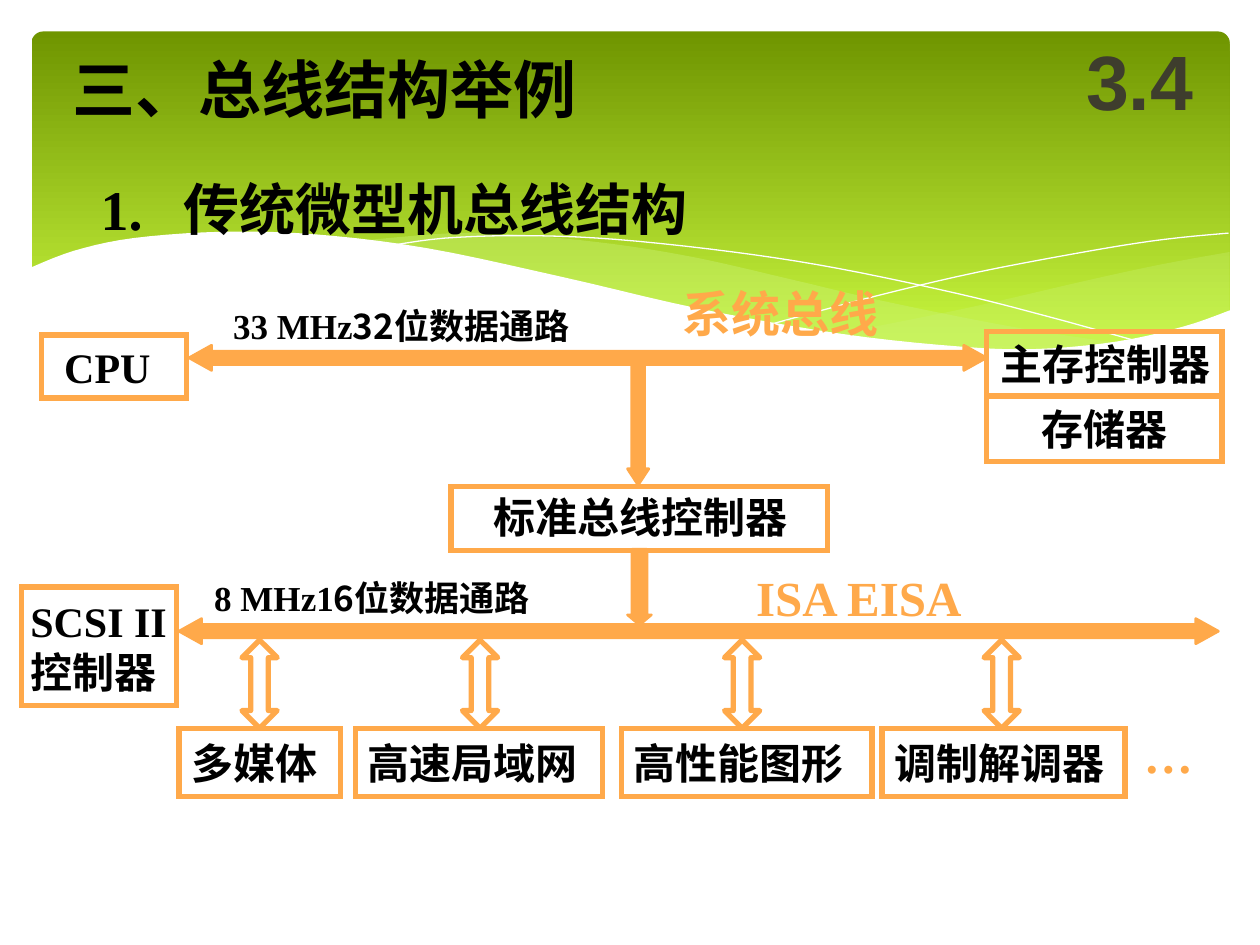
from lxml import etree
from pptx import Presentation
from pptx import util as u
from pptx.dml.color import RGBColor
from pptx.enum import shapes, text
from pptx.oxml.ns import qn

Inches, Pt = u.Inches, u.Pt
Shape = shapes.MSO_SHAPE

ORANGE = RGBColor(0xFF, 0xA9, 0x4A)
BLACK = RGBColor(0, 0, 0)
WHITE = RGBColor(0xFF, 0xFF, 0xFF)
GREY = RGBColor(0x3E, 0x3D, 0x2D)
DARK_GREEN = RGBColor(0x6F, 0x95, 0x00)
LIME = RGBColor(0xD0, 0xFF, 0x44)
PALE_LIME = RGBColor(0xCA, 0xF2, 0x78)
TIMES, NOTO, ARIAL = "Times New Roman", "Noto Sans CJK SC", "Arial"

# Header curves, as points to pass a smooth line through
WHITE_WAVE = [(0.23, 2.13), (0.59, 1.99), (1.06, 1.89), (1.76, 1.84), (2.5, 1.86),
              (3.39, 1.97), (4.47, 2.2), (5.55, 2.45), (6.68, 2.65), (7.61, 2.75),
              (8.23, 2.77), (8.87, 2.71), (9.4, 2.59), (9.77, 2.46)]
RIGHT_TOP = [(9.76, 2), (9.21, 2.1), (8.61, 2.23), (7.79, 2.42), (7.06, 2.57), (6.61, 2.65)]
RIGHT_BOTTOM = [(6.61, 2.65), (7.18, 2.73), (7.81, 2.77), (8.35, 2.77), (8.89, 2.72),
                (9.35, 2.62), (9.76, 2.47)]
MIDDLE_TOP = [(8.93, 2.73), (8.07, 2.6), (7.06, 2.4), (6.29, 2.22), (5.55, 2.05),
              (4.89, 1.94), (4.2, 1.87), (3.61, 1.85), (2.86, 1.91)]
MIDDLE_BOTTOM = [(2.86, 1.91), (3.62, 2.03), (4.49, 2.22), (5.3, 2.4), (6.18, 2.58),
                 (6.95, 2.7), (7.61, 2.77), (8.28, 2.78), (8.93, 2.73)]
FALLING_LINE = [(3.09, 1.95), (3.53, 1.89), (4.16, 1.87), (4.89, 1.9), (5.82, 2),
                (6.65, 2.13), (7.6, 2.33), (8.31, 2.51), (9.07, 2.72)]
RISING_LINE = [(6.13, 2.57), (6.95, 2.35), (7.76, 2.16), (8.66, 1.99), (9.24, 1.9), (9.75, 1.85)]


def smooth(points, steps=5):
    """Return a Catmull-Rom curve through the points."""
    ends = [points[0], *points, points[-1]]
    curve = [points[0]]
    for a, b, c, d in zip(ends, ends[1:], ends[2:], ends[3:]):
        for step in range(1, steps + 1):
            t = step / steps
            curve.append(tuple(
                (2 * q + (r - p) * t + (2 * p - 5 * q + 4 * r - s) * t ** 2
                 + (3 * q - p - 3 * r + s) * t ** 3) / 2
                for p, q, r, s in zip(a, b, c, d)))
    return curve


def write(frame, content, *, size=24, font=TIMES, color=BLACK, inset=(0.1, 0.05),
          align=text.PP_ALIGN.LEFT, hanging=None):
    """Fill a frame; content is a list of paragraphs, each a string or (text, font) runs."""
    frame.word_wrap = True
    frame.vertical_anchor = text.MSO_ANCHOR.MIDDLE
    frame.margin_left = frame.margin_right = Inches(inset[0])
    frame.margin_top = frame.margin_bottom = Inches(inset[1])
    for index, runs in enumerate(content):
        paragraph = frame.add_paragraph() if index else frame.paragraphs[0]
        paragraph.alignment = align
        if hanging:
            properties = paragraph._p.get_or_add_pPr()
            properties.set("marL", str(Inches(hanging)))
            properties.set("indent", str(-Inches(hanging)))
        for words, run_font in ([(runs, font)] if isinstance(runs, str) else runs):
            run = paragraph.add_run()
            run.text = words
            run.font.size, run.font.bold, run.font.name = Pt(size), True, run_font
            run.font.color.rgb = color
            etree.SubElement(run._r.get_or_add_rPr(), qn("a:ea"), typeface=NOTO)


class Diagram:
    def __init__(self, slide):
        self.slide = slide
        self.accent = ORANGE

    def style(self, shape, fill=None, line=None, width=0, alpha=None):
        shape.shadow.inherit = False
        if fill is None:
            shape.fill.background()
        else:
            shape.fill.solid()
            shape.fill.fore_color.rgb = fill
        if alpha:
            color = shape.fill._xPr.find(qn("a:solidFill"))[0]
            etree.SubElement(color, qn("a:alpha"), val=str(alpha * 1000))
        if line is None:
            shape.line.fill.background()
        else:
            shape.line.color.rgb = line
            shape.line.width = Pt(width)

    def preset(self, kind, place):
        return self.slide.shapes.add_shape(kind, *map(Inches, place))

    def banner(self, *place):
        shape = self.preset(Shape.ROUNDED_RECTANGLE, place)
        shape.adjustments[0] = 0.034
        self.style(shape)
        shape.fill.gradient()
        shape.fill.gradient_angle = 270
        for stop, color, position in zip(shape.fill.gradient_stops, (DARK_GREEN, LIME), (0, 1)):
            stop.color.rgb, stop.position = color, position

    def outline(self, points, close=True, **style):
        start, *rest = [tuple(map(Inches, point)) for point in points]
        builder = self.slide.shapes.build_freeform(*start)
        builder.add_line_segments(rest, close=close)
        self.style(builder.convert_to_shape(), **style)

    def label(self, place, *content, spare=0.3, **style):
        left, top, width, height = place
        box = self.slide.shapes.add_textbox(*map(Inches, (left, top, width + spare, height)))
        write(box.text_frame, content, **style)

    def box(self, place, *content, **style):
        shape = self.preset(Shape.RECTANGLE, place)
        self.style(shape, line=self.accent, width=3)
        etree.SubElement(shape.line._get_or_add_ln(), qn("a:miter"), lim="800000")
        if content:
            write(shape.text_frame, content, **style)

    def arrow(self, kind, place, shaft, head, solid=True):
        shape = self.preset(kind, place)
        shape.adjustments[0], shape.adjustments[1] = shaft, head
        self.style(shape, fill=self.accent if solid else None, line=self.accent,
                   width=1.5 if solid else 3)
        etree.SubElement(shape.line._get_or_add_ln(), qn("a:round"))


def main():
    presentation = Presentation()
    presentation.slide_width, presentation.slide_height = Inches(10), Inches(7.5)
    diagram = Diagram(presentation.slides.add_slide(presentation.slide_layouts[6]))

    # Green header with waves
    diagram.banner(0.25, 0.25, 9.51, 2.7)
    diagram.outline(smooth(RIGHT_TOP) + smooth(RIGHT_BOTTOM), fill=PALE_LIME, alpha=29)
    diagram.outline(smooth(MIDDLE_TOP) + smooth(MIDDLE_BOTTOM), fill=PALE_LIME, alpha=40)
    for curve in (FALLING_LINE, RISING_LINE):
        diagram.outline(smooth(curve), close=False, line=WHITE)
    diagram.outline(smooth(WHITE_WAVE) + [(9.77, 3.29), (0.23, 3.29)], fill=WHITE)

    # Headings
    diagram.label((0.7, 1.33, 4.87, 0.64), "1.\t传统微型机总线结构", size=32, hanging=0.66)
    diagram.label((0.48, 0.35, 4.2, 0.7), "三、总线结构举例", size=36)
    diagram.label((8.42, 0.17, 1.25, 0.92), "3.4", size=44, font=ARIAL, color=GREY,
                  align=text.PP_ALIGN.CENTER, spare=0)

    # Buses and the links between them
    diagram.arrow(Shape.DOWN_ARROW, (4.98, 4.36, 0.19, 0.6), 0.63, 0.42)
    diagram.arrow(Shape.DOWN_ARROW, (4.98, 2.85, 0.17, 1), 0.6, 0.76)
    diagram.arrow(Shape.LEFT_RIGHT_ARROW, (1.5, 2.74, 6.33, 0.2), 0.53, 0.9)
    diagram.arrow(Shape.LEFT_RIGHT_ARROW, (1.42, 4.91, 8.25, 0.2), 0.53, 0.9)

    # Bus labels
    tight = {"inset": (0, 0)}
    diagram.label((1.85, 2.42, 2.74, 0.33), [("33 MHz", TIMES), ("32位数据通路", NOTO)],
                  size=20, **tight)
    diagram.label((1.7, 4.58, 2.57, 0.33), [("8 MHz1", TIMES), ("6位数据通路", NOTO)],
                  size=20, **tight)
    diagram.label((5.42, 2.25, 1.55, 0.47), "系统总线", size=28, font=NOTO, color=ORANGE, **tight)
    diagram.label((6, 4.5, 1.65, 0.47), "ISA EISA", size=28, color=ORANGE, **tight)

    # Processor, memory and controllers
    diagram.box((0.33, 2.66, 1.15, 0.5), "CPU", inset=(0.18, 0.05))
    for place in ((7.83, 3.14, 1.87, 0.52), (7.83, 2.63, 1.87, 0.52),
                  (3.58, 3.86, 2.99, 0.51), (0.17, 4.66, 1.23, 0.94)):
        diagram.box(place)
    for place, words in (((8.27, 3.2, 1, 0.4), "存储器"),
                         ((7.94, 2.69, 1.67, 0.4), "主存控制器"),
                         ((3.92, 3.9, 2.33, 0.4), "标准总线控制器")):
        diagram.label(place, words, font=NOTO, **tight)
    diagram.label((0.24, 4.73, 1.08, 0.8), "SCSI II", [("控制器", NOTO)], **tight)

    # Devices, each with its arrow to the expansion bus
    for left, width, center, name in ((1.42, 1.28, 2.06, "多媒体"),
                                      (2.82, 1.96, 3.81, "高速局域网"),
                                      (4.93, 1.99, 5.89, "高性能图形"),
                                      (7, 1.93, 7.95, "调制解调器")):
        diagram.arrow(Shape.UP_DOWN_ARROW, (center - 0.14, 5.08, 0.28, 0.7), 0.5, 0.5, solid=False)
        diagram.box((left, 5.78, width, 0.54), name)
    diagram.label((8.98, 5.7, 0.59, 0.57), "…", size=28, color=ORANGE)

    presentation.save("out.pptx")


if __name__ == "__main__":
    main()
